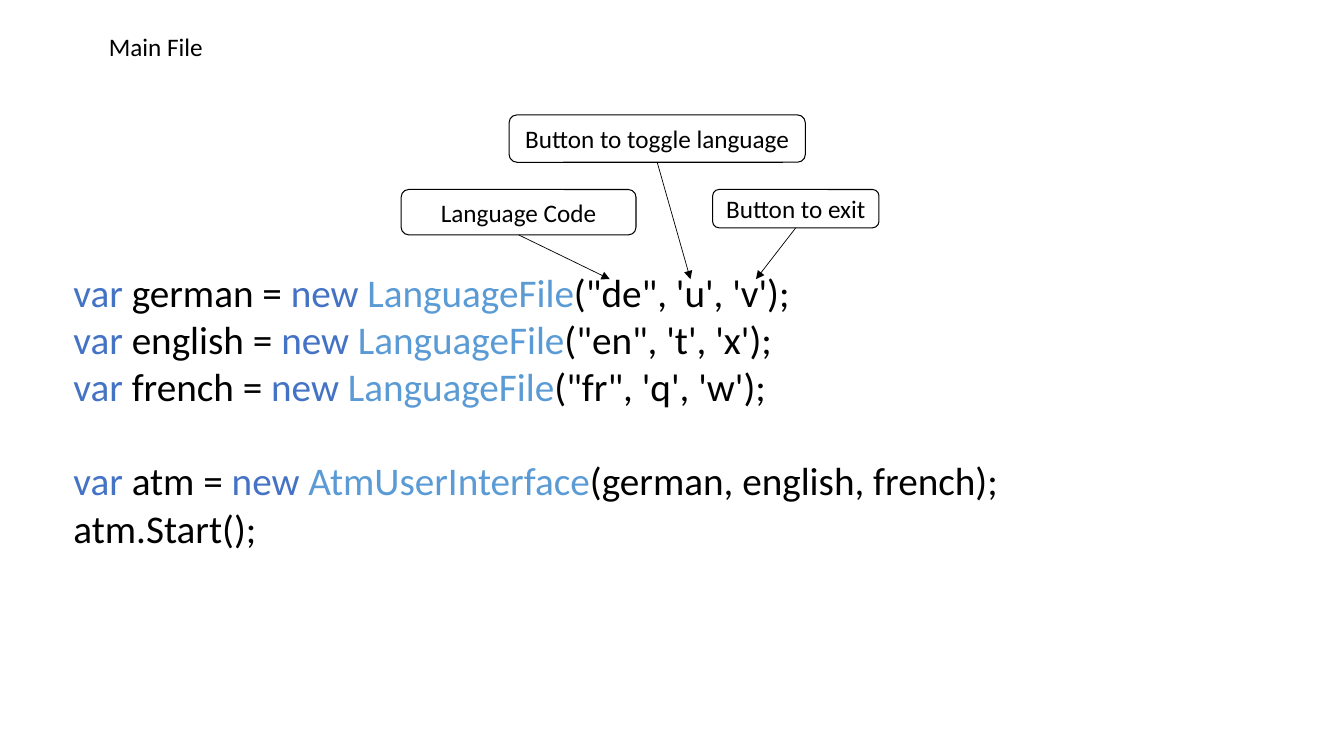
from typing import NamedTuple

from lxml import etree
from pptx import Presentation, util as u
from pptx.dml.color import RGBColor
from pptx.enum import shapes, text
from pptx.oxml.ns import qn

BLACK = RGBColor(0x00, 0x00, 0x00)
KEYWORD_BLUE = RGBColor(0x44, 0x72, 0xC4)
TYPE_BLUE = RGBColor(0x5B, 0x9B, 0xD5)
FONT = "Calibri"
COLUMNS, ROWS = 80, 45
CELL = u.Inches(13.333) / COLUMNS
LABEL_SIZE, CODE_SIZE, CODE_LINE = 18, 28, 34
ARROW_TIP_ROW = 16.62
BOTTOM_SITE = 2


class Area(NamedTuple):
    """A rectangle in grid columns and rows."""
    column: float
    row: float
    width: float
    height: float


class Callout(NamedTuple):
    label: str
    area: Area
    tip_column: float


class Declaration(NamedTuple):
    variable: str
    type_name: str
    arguments: str
    gap_before: float = 0


TITLE_AREA = Area(5.88, 1.56, 6.9, 2.4)
CODE_AREA = Area(3.78, 15.66, 57.06, 17.58)
CALLOUTS = [
    Callout("Language Code", Area(23.88, 11.28, 13.98, 2.7), 36.3),
    Callout("Button to toggle language", Area(30.3, 6.84, 17.64, 2.82), 41.1),
    Callout("Button to exit", Area(42.42, 11.28, 9.9, 2.28), 45),
]
DECLARATIONS = [
    Declaration("german", "LanguageFile", "(\"de\", 'u', 'v');"),
    Declaration("english", "LanguageFile", "(\"en\", 't', 'x');"),
    Declaration("french", "LanguageFile", "(\"fr\", 'q', 'w');"),
    Declaration("atm", "AtmUserInterface", "(german, english, french);", CODE_LINE),
]


def cells(count: float) -> int:
    return round(count * CELL)


def place(shape, area: Area) -> None:
    shape.left, shape.top, shape.width, shape.height = map(cells, area)


def add_span(para, words: str, *, size: float = LABEL_SIZE, color: RGBColor = BLACK) -> None:
    span = para.add_run()
    span.text = words
    span.font.name = FONT
    span.font.size = u.Pt(size)
    span.font.color.rgb = color


def add_title(page) -> None:
    title = page.shapes.title
    place(title, TITLE_AREA)
    frame = title.text_frame
    frame.word_wrap = False
    frame.auto_size = text.MSO_AUTO_SIZE.SHAPE_TO_FIT_TEXT
    frame.vertical_anchor = text.MSO_ANCHOR.TOP
    para = frame.paragraphs[0]
    para.alignment = text.PP_ALIGN.LEFT
    add_span(para, "Main File")


def add_code(page) -> None:
    frame = page.shapes.add_textbox(*map(cells, CODE_AREA)).text_frame
    frame.word_wrap = True
    para = frame.paragraphs[0]
    for item in DECLARATIONS:
        para.space_before = u.Pt(item.gap_before)
        for words, color in (
            ("var ", KEYWORD_BLUE),
            (f"{item.variable} = ", BLACK),
            ("new ", KEYWORD_BLUE),
            (item.type_name, TYPE_BLUE),
            (item.arguments, BLACK),
        ):
            add_span(para, words, size=CODE_SIZE, color=color)
        para = frame.add_paragraph()
    add_span(para, "atm.Start();", size=CODE_SIZE)


def add_callout(page, callout: Callout):
    box = page.shapes.add_shape(shapes.MSO_SHAPE.ROUNDED_RECTANGLE, *map(cells, callout.area))
    box.shadow.inherit = False
    box.fill.background()
    box.line.color.rgb = BLACK
    box.line.width = u.Pt(0.75)
    frame = box.text_frame
    frame.word_wrap = True
    frame.vertical_anchor = text.MSO_ANCHOR.MIDDLE
    para = frame.paragraphs[0]
    para.alignment = text.PP_ALIGN.CENTER
    add_span(para, callout.label)
    return box


def add_arrow(page, box, tip_column: float) -> None:
    """Draw an arrow from the bottom of a box to the first line of code."""
    tip = cells(tip_column), cells(ARROW_TIP_ROW)
    arrow = page.shapes.add_connector(shapes.MSO_CONNECTOR.STRAIGHT, *tip, *tip)
    arrow.begin_connect(box, BOTTOM_SITE)
    arrow.line.color.rgb = BLACK
    arrow.line.width = u.Pt(0.5)
    etree.SubElement(arrow.line._get_or_add_ln(), qn("a:tailEnd"), type="triangle")
    etree.SubElement(arrow._element.spPr, qn("a:effectLst"))


def main() -> None:
    deck = Presentation()
    deck.slide_width, deck.slide_height = cells(COLUMNS), cells(ROWS)
    page = deck.slides.add_slide(deck.slide_layouts.get_by_name("Title Only"))
    add_title(page)
    add_code(page)
    boxes = [add_callout(page, callout) for callout in CALLOUTS]
    for box, callout in zip(boxes, CALLOUTS):
        add_arrow(page, box, callout.tip_column)
    deck.save("out.pptx")


if __name__ == "__main__":
    main()
